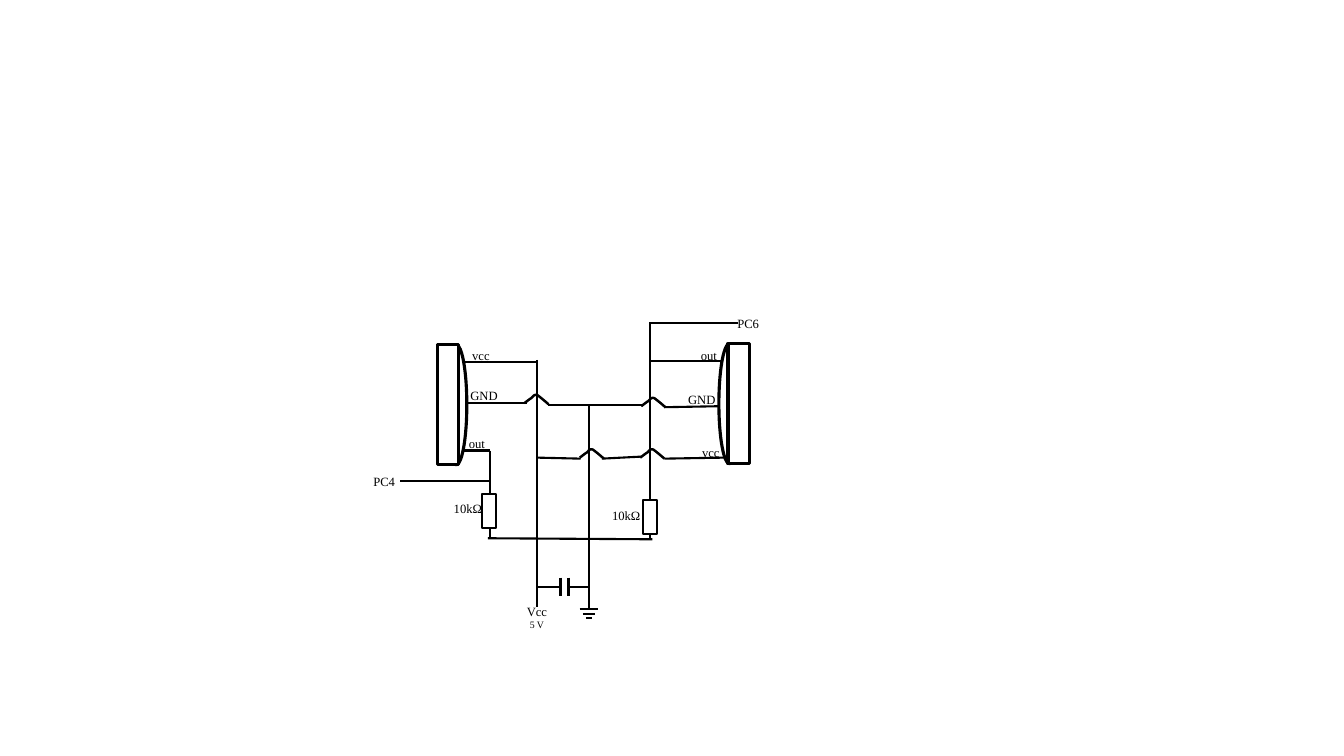
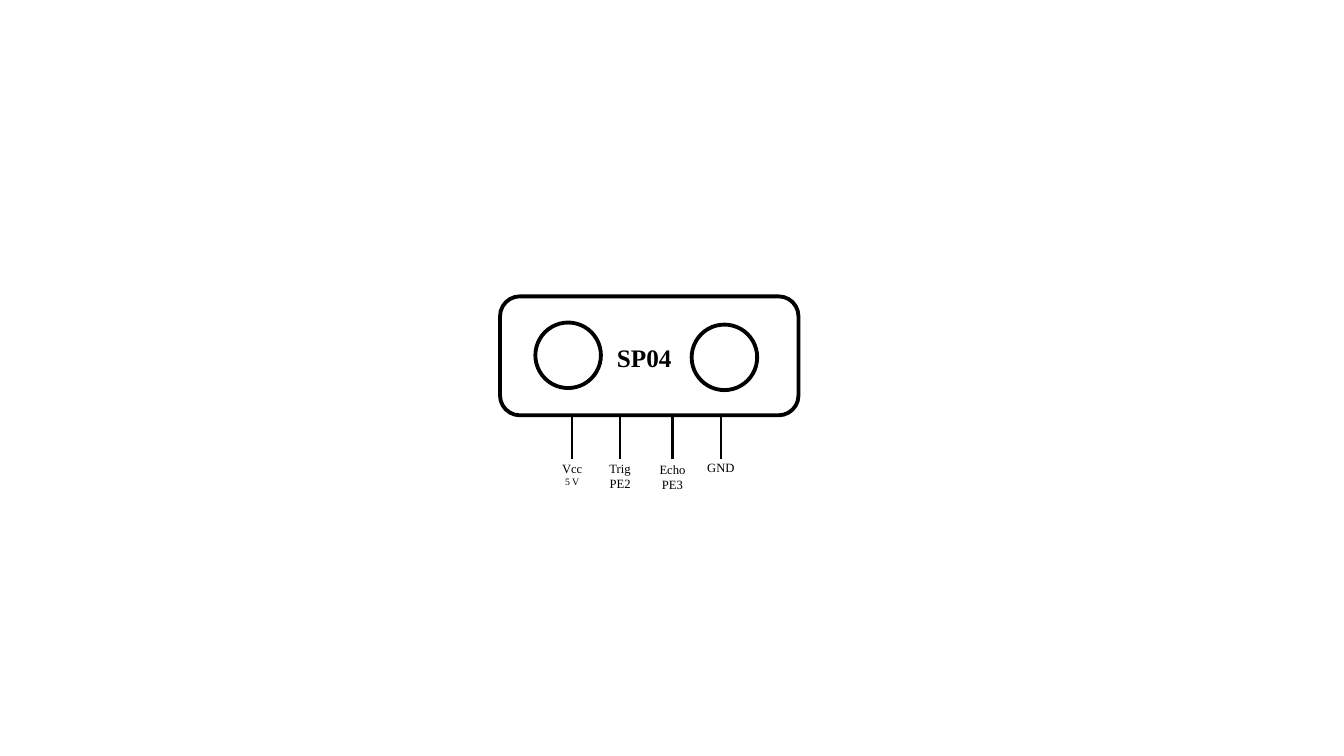
"""Build two wiring diagrams: a pair of sensors and an ultrasonic module."""
import pptx
import pptx.dml.color
import pptx.enum.shapes
import pptx.enum.text
import pptx.oxml.ns
import pptx.util
from lxml import etree

Inches = pptx.util.Inches
Pt = pptx.util.Pt
SHAPE = pptx.enum.shapes.MSO_SHAPE
ALIGN = pptx.enum.text.PP_ALIGN

BLACK = pptx.dml.color.RGBColor(0x00, 0x00, 0x00)
WHITE = pptx.dml.color.RGBColor(0xFF, 0xFF, 0xFF)
FONT = "Times New Roman"
WIRE, PLATE, BODY, MODULE = 1.5, 1.75, 2.25, 2.75
LABEL_W, LABEL_H = 0.52, 0.25

SENSOR_W, SENSOR_H = 0.21, 1.19
RESISTOR_W, RESISTOR_H = 0.14, 0.34
HOP_START = (0, 0.08)
HOP_CURVES = [
    [(0.03, 0.06), (0.05, 0.04), (0.07, 0.03)],
    [(0.09, 0.01), (0.10, -0.01), (0.13, 0)],
    [(0.16, 0.02), (0.24, 0.09), (0.24, 0.09)],
]
HOP_STEPS = 6

CIRCUIT_WIRES = [
    (1.10, 0.59, 1.83, 0.59), (1.83, 0.57, 1.83, 3.02),
    (1.13, 1.00, 1.73, 1.00), (1.10, 1.47, 1.36, 1.47),
    (1.36, 1.47, 1.36, 2.35), (1.34, 2.34, 2.97, 2.35),
    (2.95, 0.20, 2.95, 2.35), (2.95, 0.58, 3.66, 0.58),
    (1.94, 1.02, 2.87, 1.02), (3.09, 1.04, 3.63, 1.03),
    (3.09, 1.55, 3.69, 1.54), (2.47, 1.55, 2.86, 1.53),
    (1.36, 1.77, 0.47, 1.77), (2.34, 1.02, 2.34, 3.04),
    (1.82, 1.54, 2.26, 1.55), (3.82, 0.20, 2.94, 0.20),
]
CIRCUIT_HOPS = [(1.70, 0.92), (2.86, 0.95), (2.85, 1.46), (2.25, 1.46)]
CIRCUIT_LABELS = [
    ("10kΩ", 0.88, 1.92), ("10kΩ", 2.45, 1.99),
    ("vcc", 1.01, 0.40), ("GND", 1.04, 0.80), ("out", 0.97, 1.27),
    ("out", 3.27, 0.40), ("GND", 3.20, 0.84), ("vcc", 3.29, 1.36),
    ("PC4", 0.05, 1.65), ("PC6", 3.66, 0.08),
]
MODULE_PINS = [0.71, 1.19, 1.71, 2.19]
MODULE_LABELS = [
    (["Vcc", "5 V"], [9, 7], 0.51, 1.58, 0.41, 0.37),
    (["GND"], [9], 1.95, 1.57, 0.48, 0.25),
    (["Trig", "PE2"], [9, 9], 0.98, 1.58, 0.42, 0.40),
    (["Echo", "PE3"], [9, 9], 1.48, 1.59, 0.46, 0.40),
]


def add_text(s, lines, left, top, width, height, sizes=(9,), bold=False,
             align=ALIGN.CENTER, wrap=False):
    """Add a text box with one paragraph per line."""
    tf = s.shapes.add_textbox(Inches(left), Inches(top), Inches(width), Inches(height)).text_frame
    tf.word_wrap = wrap
    tf.auto_size = pptx.enum.text.MSO_AUTO_SIZE.SHAPE_TO_FIT_TEXT
    for i, (line, size) in enumerate(zip(lines, sizes)):
        p = tf.paragraphs[0] if i == 0 else tf.add_paragraph()
        p.alignment = align
        r = p.add_run()
        r.text = line
        r.font.name, r.font.size, r.font.bold = FONT, Pt(size), bold
        r.font.color.rgb = BLACK


def add_outline(s, kind, left, top, width, height, weight):
    """Add a white preset shape with a black outline."""
    sp = s.shapes.add_shape(kind, Inches(left), Inches(top), Inches(width), Inches(height))
    sp.shadow.inherit = False
    sp.fill.solid()
    sp.fill.fore_color.rgb = WHITE
    sp.line.color.rgb = BLACK
    sp.line.width = Pt(weight)


def add_wire(s, left, top, ends, weight=WIRE):
    """Add a straight wire whose ends are relative to a corner."""
    x1, y1, x2, y2 = ends
    wire = s.shapes.add_connector(
        pptx.enum.shapes.MSO_CONNECTOR.STRAIGHT,
        Inches(left + x1), Inches(top + y1), Inches(left + x2), Inches(top + y2))
    wire.line.color.rgb = BLACK
    wire.line.width = Pt(weight)
    etree.SubElement(wire.element.spPr, pptx.oxml.ns.qn("a:effectLst"))


def hop_points(left, top):
    """Return points along the hop curve, in slide lengths."""
    points, start = [HOP_START], HOP_START
    for c1, c2, end in HOP_CURVES:
        for step in range(1, HOP_STEPS + 1):
            t = step / HOP_STEPS
            u = 1 - t
            points.append(tuple(
                u**3 * a + 3 * u * u * t * b + 3 * u * t * t * c + t**3 * d
                for a, b, c, d in zip(start, c1, c2, end)))
        start = end
    return [(Inches(left + x), Inches(top + y)) for x, y in points]


def add_hop(s, left, top):
    """Add the small arch where one wire crosses another."""
    points = hop_points(left, top)
    builder = s.shapes.build_freeform(*points[0])
    builder.add_line_segments(points[1:], close=False)
    sp = builder.convert_to_shape()
    sp.shadow.inherit = False
    sp.fill.background()
    sp.line.color.rgb = BLACK
    sp.line.width = Pt(PLATE)


def add_sensor(s, lens_left, body_left, top):
    """Add a sensor: a lens partly covered by its body."""
    for kind, left in ((SHAPE.OVAL, lens_left), (SHAPE.RECTANGLE, body_left)):
        add_outline(s, kind, left, top, SENSOR_W, SENSOR_H, BODY)


def add_supply(s, left, top):
    """Add the capacitor, the ground symbol and the supply label."""
    for x in (0.23, 0.31):
        add_wire(s, left, top, (x, 0, x, 0.18), PLATE)
    for x1, x2 in ((0, 0.23), (0.32, 0.51)):
        add_wire(s, left, top, (x1, 0.09, x2, 0.09))
    for half, y in ((0.09, 0.31), (0.06, 0.36), (0.03, 0.40)):
        add_wire(s, left, top, (0.51 - half, y, 0.51 + half, y))
    add_text(s, ["Vcc", "5 V"], left - 0.21, top + 0.21, 0.41, 0.37, sizes=(9, 7))


def add_circuit(s, left, top):
    """Add the two-sensor circuit at a corner."""
    add_sensor(s, left + 0.92, left + 0.84, top + 0.42)
    add_sensor(s, left + 3.63, left + 3.72, top + 0.41)
    for ends in CIRCUIT_WIRES:
        add_wire(s, left, top, ends)
    for x, y in CIRCUIT_HOPS:
        add_hop(s, left + x, top + y)
    for x, y in ((2.88, 1.96), (1.28, 1.90)):
        add_outline(s, SHAPE.RECTANGLE, left + x, top + y, RESISTOR_W, RESISTOR_H, WIRE)
    add_supply(s, left + 1.83, top + 2.73)
    for text, x, y in CIRCUIT_LABELS:
        add_text(s, [text], left + x, top + y, LABEL_W, LABEL_H, wrap=True)


def add_module(s, left, top):
    """Add the ultrasonic module with its four pins at a corner."""
    add_outline(s, SHAPE.ROUNDED_RECTANGLE, left, top, 2.96, 1.18, MODULE)
    for x, y in ((0.35, 0.26), (1.90, 0.28)):
        add_outline(s, SHAPE.OVAL, left + x, top + y, 0.65, 0.65, MODULE)
    for x in MODULE_PINS:
        add_wire(s, left, top, (x, 1.18, x, 1.61))
    for lines, sizes, x, y, width, height in MODULE_LABELS:
        add_text(s, lines, left + x, top + y, width, height, sizes=sizes)
    add_text(s, ["SP04"], left + 1.06, top + 0.41, 0.84, 0.40,
             sizes=(18,), bold=True, align=ALIGN.LEFT)


def main():
    """Build and save the presentation."""
    prs = pptx.Presentation()
    prs.slide_width, prs.slide_height = Inches(13.33), Inches(7.5)
    for draw, left, top in ((add_circuit, 3.5, 3), (add_module, 4.96, 2.94)):
        draw(prs.slides.add_slide(prs.slide_layouts[6]), left, top)
    prs.save("out.pptx")


if __name__ == "__main__":
    main()
